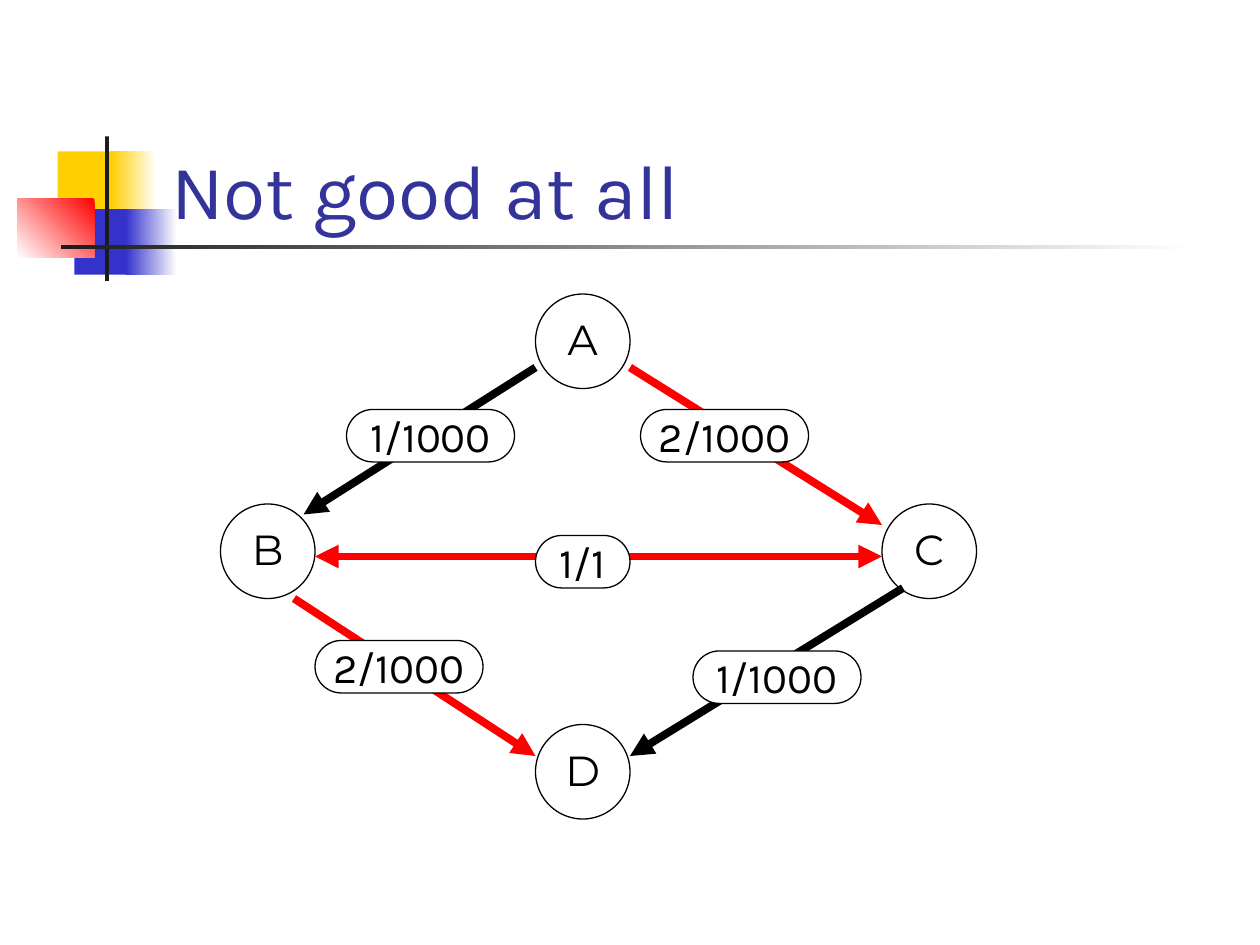
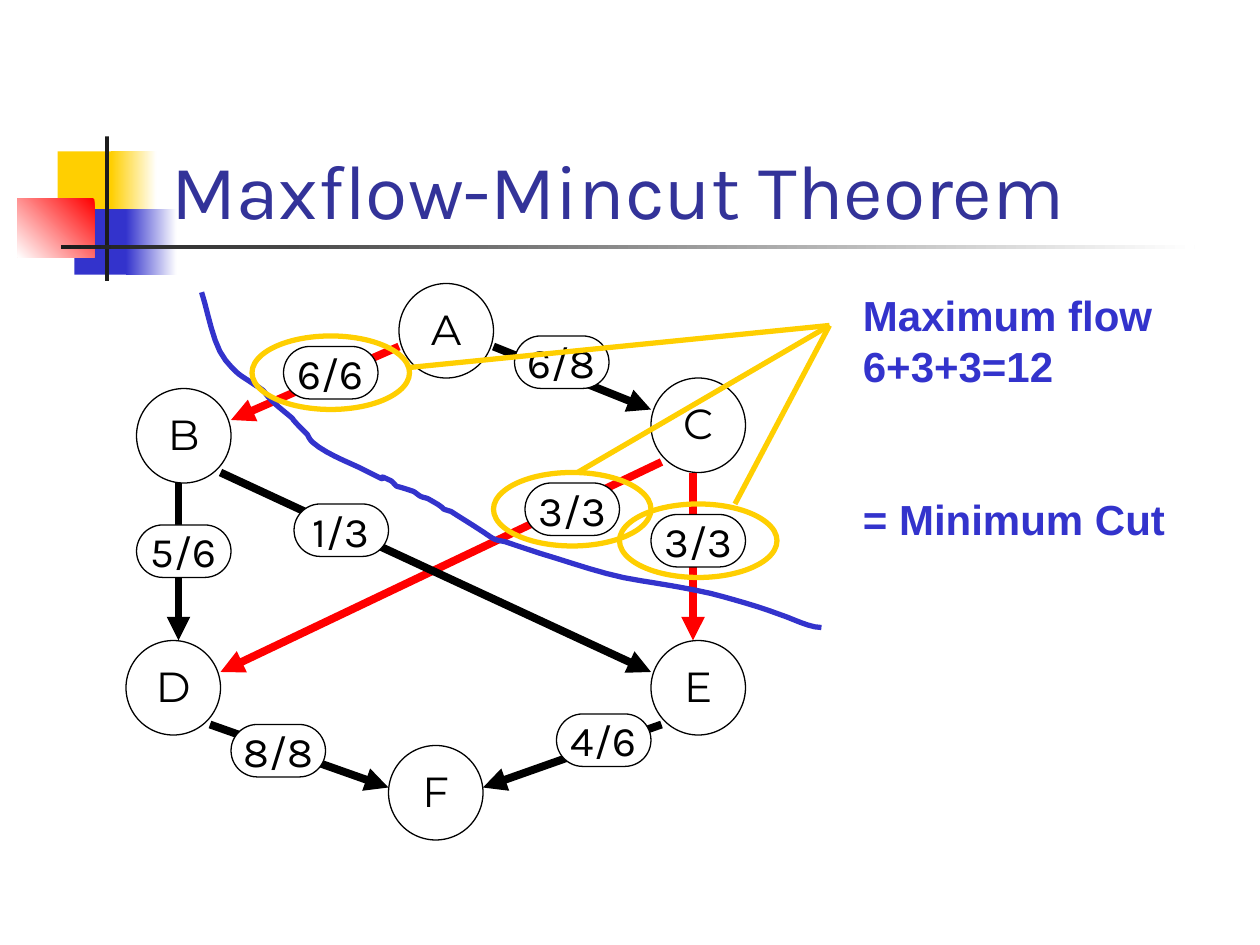
from dataclasses import dataclass

from lxml.etree import SubElement
from pptx import Presentation
from pptx.dml.color import RGBColor
from pptx.enum.shapes import MSO_CONNECTOR as Connector, MSO_SHAPE as Preset
from pptx.enum.text import MSO_ANCHOR as Anchor, PP_ALIGN as Align
from pptx.oxml.ns import qn
from pptx.util import Pt

BLACK, WHITE, RED = "000000", "FFFFFF", "FF0000"
YELLOW, BLUE, TITLE_BLUE, DARK = "FFCF01", "3333CC", "333399", "1C1C1C"
NODE_SIZE, LABEL_HEIGHT = 54, 30
HIGHLIGHT_SIZE = (90, 42)


@dataclass(frozen=True)
class Band:
    left: float
    top: float
    width: float
    height: float
    colour: str
    fade_angle: float | None = None


@dataclass(frozen=True)
class Node:
    name: str
    left: float
    top: float


@dataclass(frozen=True)
class Edge:
    start: tuple[float, float]
    end: tuple[float, float]
    colour: str = BLACK
    width: float = 4.5
    heads: tuple[str, ...] = ("tailEnd",)


@dataclass(frozen=True)
class Label:
    text: str
    left: float
    top: float
    width: float = 54


BANDS = [
    Band(33, 86.5, 34.5, 37.5, YELLOW),
    Band(63.5, 86.5, 26, 37.5, YELLOW, 0),
    Band(42.5, 119.5, 33, 37.5, BLUE),
    Band(72, 119.5, 29, 37.5, BLUE, 0),
    Band(10, 113.5, 44, 33.5, RED, 225),
    Band(60, 78, 2.25, 82.5, DARK),
    Band(34.75, 140.25, 648, 2.25, DARK, 0),
]

DETOUR_NODES = [Node("D", 306, 414), Node("C", 504, 288), Node("B", 126, 288), Node("A", 306, 168)]
DETOUR_EDGES = [
    Edge((360, 210), (504, 300), RED),
    Edge((516, 336), (360, 432)),
    Edge((306, 210), (173.5, 294)),
    Edge((168, 342), (306, 432), RED),
    Edge((180, 318), (504, 318), RED, heads=("headEnd", "tailEnd")),
]
DETOUR_LABELS = [
    Label("2/1000", 180, 366, 96),
    Label("1/1", 306, 306),
    Label("1/1000", 396, 372, 96),
    Label("1/1000", 198, 234, 96),
    Label("2/1000", 366, 234, 96),
]

CUT_NODES = [
    Node("F", 222, 426), Node("E", 372, 366), Node("D", 72, 366),
    Node("C", 372, 216), Node("B", 78, 222), Node("A", 228, 162),
]
CUT_EDGES = [
    Edge((282, 198), (372, 234)),
    Edge((396, 270), (396, 366), RED),
    Edge((378, 414), (276, 450)),
    Edge((228, 198), (132, 240), RED),
    Edge((102, 276), (102, 366)),
    Edge((120, 414), (222, 450)),
    Edge((378, 264), (126, 384), RED),
    Edge((126, 270), (372, 384)),
]
CUT_LABELS = [
    Label("6/8", 294, 192), Label("6/6", 162, 198), Label("3/3", 300, 276), Label("1/3", 168, 288),
    Label("3/3", 372, 294), Label("5/6", 78, 300), Label("4/6", 318, 408), Label("8/8", 132, 414),
]
HIGHLIGHTS = [(144, 192), (282, 270), (354, 288)]
CALLOUT_STARTS = [(234, 210), (330, 270), (420, 288)]
CALLOUT_END = (474, 186)
CUT_START = (115.2, 167)
CUT_CURVES = [
    ((118.8, 177.8), (121.7, 197.3), (128.9, 205.9)),
    ((136.8, 215.3), (136.8, 213.8), (146.2, 220.3)),
    ((147.6, 221), (150.5, 223.2), (150.5, 223.2)),
    ((154.8, 229.7), (161.3, 234), (167, 239)),
    ((167, 239.8), (175.7, 248.4), (175.7, 248.4)),
    ((176.4, 249.8), (177.1, 251.3), (178.6, 252.7)),
    ((185, 258.5), (197.3, 263.5), (205.2, 267.1)),
    ((208.1, 268.6), (211, 270), (213.8, 271.4)),
    ((224.6, 277.2), (212.4, 269.3), (222.5, 274.3)),
    ((224.6, 275), (225.4, 277.2), (226.8, 277.9)),
    ((229.7, 278.6), (236.2, 280.8), (236.2, 280.8)),
    ((237.6, 281.5), (239, 283), (240.5, 283.7)),
    ((241.9, 284.4), (243.4, 284.4), (244.8, 285.1)),
    ((259.2, 293), (248.4, 289.4), (257.8, 292.3)),
    ((265.7, 297.4), (272.9, 301.7), (280.1, 306.7)),
    ((283, 308.9), (285.8, 308.9), (288.7, 309.6)),
    ((295.2, 311.8), (301.7, 313.9), (308.2, 316.1)),
    ((327.6, 321.8), (346.3, 329), (366.5, 331.9)),
    ((380.2, 334.1), (393.1, 336.2), (406.1, 339.1)),
    ((419.8, 342.7), (432.7, 346.3), (446.4, 351.4)),
    ((452.9, 353.5), (462.2, 358.6), (469.4, 358.6)),
]


def rgb(colour: str) -> RGBColor:
    """Turn a hex string into a colour."""
    return RGBColor.from_string(colour)


def format_font(font, name: str, size: float, colour: str, bold: bool = False) -> None:
    """Set the face, size, colour and weight of a font."""
    font.name, font.size, font.bold = name, Pt(size), bold
    font.color.rgb = rgb(colour)


def add_shape(slide, preset, left: float, top: float, width: float, height: float,
              fill: str | None = None, line: str | None = None, line_width: float = 0.75):
    """Add a preset shape without a shadow."""
    shape = slide.shapes.add_shape(preset, Pt(left), Pt(top), Pt(width), Pt(height))
    shape.shadow.inherit = False
    if fill:
        shape.fill.solid()
        shape.fill.fore_color.rgb = rgb(fill)
    else:
        shape.fill.background()
    if line:
        shape.line.color.rgb = rgb(line)
        shape.line.width = Pt(line_width)
    else:
        shape.line.fill.background()
    return shape


def set_centred_text(shape, text: str, font_name: str):
    """Write one unwrapped line in the middle of a shape and return its paragraph."""
    frame = shape.text_frame
    frame.text = text
    frame.word_wrap = False
    frame.vertical_anchor = Anchor.MIDDLE
    paragraph = frame.paragraphs[0]
    paragraph.alignment = Align.CENTER
    format_font(paragraph.runs[0].font, font_name, 24, BLACK)
    return paragraph


def add_band(slide, band: Band) -> None:
    """Draw one solid or fading block of the title decoration."""
    shape = add_shape(slide, Preset.RECTANGLE, band.left, band.top, band.width, band.height, band.colour)
    if band.fade_angle is not None:
        shape.fill.gradient()
        shape.fill.gradient_angle = band.fade_angle
        for stop, colour in zip(shape.fill.gradient_stops, (band.colour, WHITE)):
            stop.color.rgb = rgb(colour)


def add_node(slide, node: Node) -> None:
    """Draw a circle with its outlined letter."""
    circle = add_shape(slide, Preset.OVAL, node.left, node.top, NODE_SIZE, NODE_SIZE, WHITE, BLACK)
    paragraph = set_centred_text(circle, node.name, "Montserrat")
    paragraph.line_spacing = 0.97
    properties = paragraph.runs[0].font._element
    outline = SubElement(properties, qn("a:ln"), w=str(Pt(0.75)))
    SubElement(SubElement(outline, qn("a:solidFill")), qn("a:srgbClr"), val=BLACK)
    properties.insert(0, outline)


def add_edge(slide, edge: Edge) -> None:
    """Draw a straight line with its arrowheads."""
    ends = [Pt(length) for length in (*edge.start, *edge.end)]
    connector = slide.shapes.add_connector(Connector.STRAIGHT, *ends)
    connector.line.color.rgb = rgb(edge.colour)
    connector.line.width = Pt(edge.width)
    for head in edge.heads:
        SubElement(connector.line._get_or_add_ln(), qn(f"a:{head}"), type="triangle")
    SubElement(connector._element.spPr, qn("a:effectLst"))


def add_label(slide, label: Label) -> None:
    """Draw a pill with the flow and capacity of an edge."""
    pill = add_shape(slide, Preset.ROUNDED_RECTANGLE, label.left, label.top,
                     label.width, LABEL_HEIGHT, WHITE, BLACK)
    pill.adjustments[0] = 0.5
    set_centred_text(pill, label.text, "Karla")


def add_graph(slide, nodes: list[Node], edges: list[Edge], labels: list[Label]) -> None:
    """Draw a network from back to front."""
    for node in nodes:
        add_node(slide, node)
    for edge in edges:
        add_edge(slide, edge)
    for label in labels:
        add_label(slide, label)


def add_text_box(slide, left: float, top: float, width: float, height: float, text: str):
    """Add a wrapping text box and return its text frame."""
    frame = slide.shapes.add_textbox(Pt(left), Pt(top), Pt(width), Pt(height)).text_frame
    frame.word_wrap = True
    frame.text = text
    return frame


def add_titled_slide(presentation, title: str):
    """Add a blank slide with the shared decoration and title."""
    slide = presentation.slides.add_slide(presentation.slide_layouts[6])
    for band in BANDS:
        add_band(slide, band)
    frame = add_text_box(slide, 90.75, 48, 613.5, 90, title)
    frame.vertical_anchor = Anchor.BOTTOM
    format_font(frame.paragraphs[0].runs[0].font, "Karla", 44, TITLE_BLUE)
    return slide


def add_cut(slide, steps: int = 6) -> None:
    """Draw the cut by sampling its cubic curves."""
    points, start = [], CUT_START
    for first, second, end in CUT_CURVES:
        for step in range(1, steps + 1):
            t = step / steps
            weights = ((1 - t) ** 3, 3 * t * (1 - t) ** 2, 3 * t * t * (1 - t), t ** 3)
            corners = (start, first, second, end)
            points.append(tuple(Pt(sum(w * corner[axis] for w, corner in zip(weights, corners)))
                                for axis in (0, 1)))
        start = end
    builder = slide.shapes.build_freeform(Pt(CUT_START[0]), Pt(CUT_START[1]))
    builder.add_line_segments(points, close=False)
    cut = builder.convert_to_shape()
    cut.shadow.inherit = False
    cut.fill.background()
    cut.line.color.rgb = rgb(BLUE)
    cut.line.width = Pt(3)


def add_flow_note(slide) -> None:
    """Write the value of the flow and of the cut."""
    frame = add_text_box(slide, 486, 162, 204, 153, "Maximum flow 6+3+3=12\n= Minimum Cut")
    frame.paragraphs[1].space_before = Pt(59)
    for paragraph in frame.paragraphs:
        format_font(paragraph.runs[0].font, "Arial", 24, BLUE, True)


def main() -> None:
    """Build both slides and save them."""
    presentation = Presentation()
    presentation.slide_width, presentation.slide_height = Pt(720), Pt(540)

    slide = add_titled_slide(presentation, "Not good at all")
    add_graph(slide, DETOUR_NODES, DETOUR_EDGES, DETOUR_LABELS)

    slide = add_titled_slide(presentation, "Maxflow-Mincut Theorem")
    add_graph(slide, CUT_NODES, CUT_EDGES, CUT_LABELS)
    add_cut(slide)
    for left, top in HIGHLIGHTS:
        add_shape(slide, Preset.OVAL, left, top, *HIGHLIGHT_SIZE, line=YELLOW, line_width=3)
    for start in CALLOUT_STARTS:
        add_edge(slide, Edge(start, CALLOUT_END, YELLOW, 3, ()))
    add_flow_note(slide)

    presentation.save("out.pptx")


if __name__ == "__main__":
    main()
